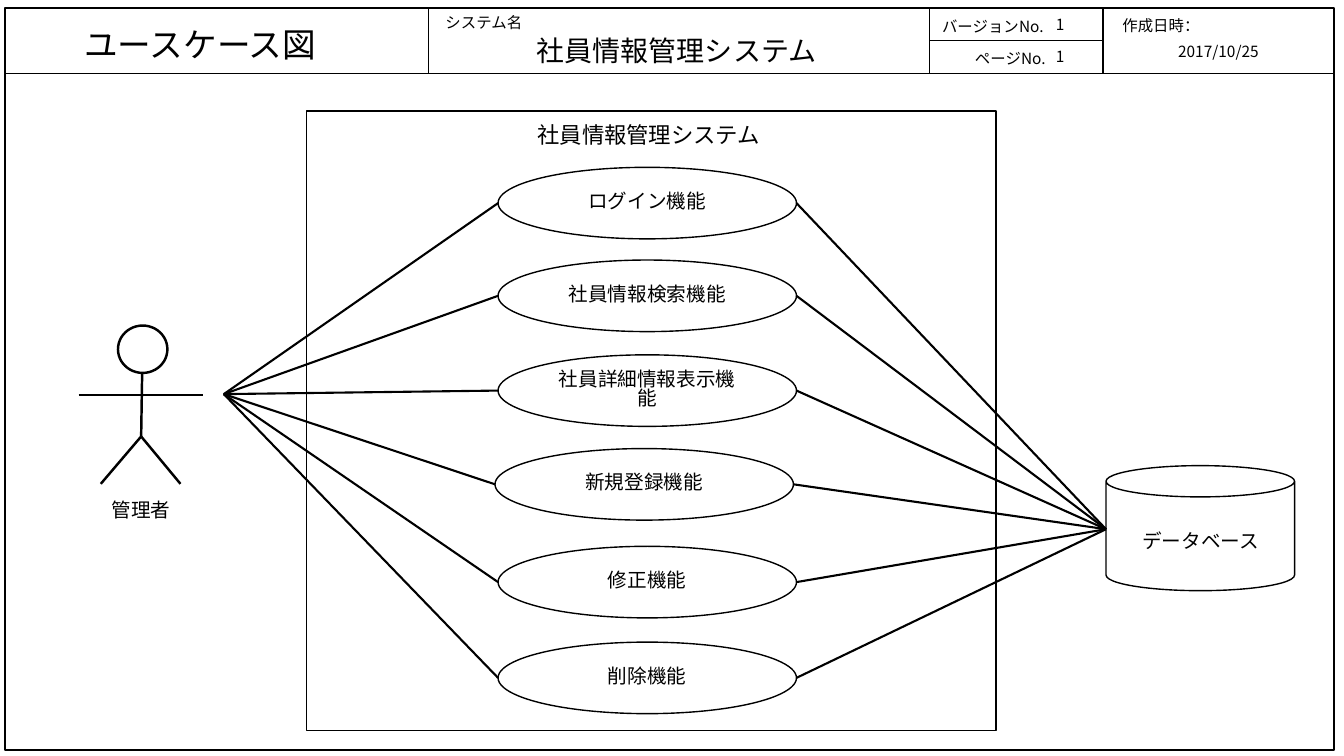
from pptx import Presentation
from pptx.dml.color import RGBColor
from pptx.enum.shapes import MSO_CONNECTOR, MSO_SHAPE
from pptx.enum.text import MSO_ANCHOR, PP_ALIGN
from pptx.oxml.ns import qn
from pptx.util import Inches, Pt
from lxml.etree import SubElement

FONT = "Noto Sans CJK JP"
INK = "000000"
SYSTEM = "社員情報管理システム"
CENTER, RIGHT = PP_ALIGN.CENTER, PP_ALIGN.RIGHT
TOP, MIDDLE = MSO_ANCHOR.TOP, MSO_ANCHOR.MIDDLE


def color(value):
    return RGBColor.from_string(value)


def write(shape, text, size, align=CENTER, anchor=MIDDLE):
    frame = shape.text_frame
    frame.word_wrap = True
    frame.vertical_anchor = anchor
    paragraph = frame.paragraphs[0]
    for name, value in {"alignment": align, "line_spacing": 0.8}.items():
        setattr(paragraph, name, value)
    run = paragraph.add_run()
    run.text = text
    for name, value in {"name": FONT, "size": Pt(size)}.items():
        setattr(run.font, name, value)
    run.font.color.rgb = color(INK)
    SubElement(run.font._element, qn("a:ea")).set("typeface", FONT)


def add_text(slide, box, text, size, align=CENTER, anchor=MIDDLE):
    write(slide.shapes.add_textbox(*map(Inches, box)), text, size, align, anchor)


def add_outline(slide, kind, box, width=1):
    shape = slide.shapes.add_shape(kind, *map(Inches, box))
    shape.shadow.inherit = False
    shape.fill.background()
    shape.line.color.rgb = color(INK)
    shape.line.width = Pt(width)
    return shape


def add_line(slide, start, end, width=1.5):
    line = slide.shapes.add_connector(MSO_CONNECTOR.STRAIGHT, *map(Inches, (*start, *end)))
    line.line.color.rgb = color(INK)
    line.line.width = Pt(width)
    SubElement(line._element.spPr, qn("a:effectLst"))


def add_header(slide, box):
    left, top, width, height = box
    half = height / 2
    # Cells: x, y, width, height inside the header
    cells = [
        (0, 0, 4.2, height),
        (4.2, 0, 4.97, height),
        (9.17, 0, 1.72, half),
        (9.17, half, 1.72, half),
        (10.89, 0, width - 10.89, height),
    ]
    for x, y, w, h in cells:
        add_outline(slide, MSO_SHAPE.RECTANGLE, (left + x, top + y, w, h))
    # Labels: x, y, width, height, text, size, alignment
    labels = [
        (0.49, 0.19, 2.89, 0.49, "ユースケース図", 24, CENTER),
        (4.13, 0.04, 1.24, 0.3, "システム名", 11, CENTER),
        (3.97, 0.27, 5.38, 0.41, SYSTEM, 20, CENTER),
        (8.89, 0.08, 1.51, 0.29, "バージョンNo.", 11, RIGHT),
        (9.17, 0.39, 1.25, 0.27, "ページNo.", 11, RIGHT),
        (10.29, 0.06, 0.35, 0.3, "1", 11, CENTER),
        (10.29, 0.37, 0.35, 0.3, "1", 11, CENTER),
        (10.8, 0.07, 1.33, 0.24, "作成日時：", 11, CENTER),
        (11.01, 0.32, 2.05, 0.23, "2017/10/25", 11, CENTER),
    ]
    for x, y, w, h, text, size, align in labels:
        add_text(slide, (left + x, top + y, w, h), text, size, align, TOP)


def add_actor(slide, box, name):
    left, top, width, height = box
    middle, hip = left + 0.62, top + 1.1
    add_outline(slide, MSO_SHAPE.OVAL, (left + 0.39, top, 0.49, 0.47), 1.75)
    limbs = [
        ((left, top + 0.69), (left + width, top + 0.69)),  # arms
        ((middle + 0.01, top + 0.47), (middle, hip)),  # body
        ((middle, hip), (middle - 0.4, top + height)),  # legs
        ((middle, hip), (middle + 0.39, top + height)),
    ]
    for start, end in limbs:
        add_line(slide, start, end, 1.75)
    add_text(slide, (middle - 0.76, top + height + 0.09, 1.52, 0.37), name, 14)


def add_database(slide, box, name):
    left, top, width, height = box
    add_outline(slide, MSO_SHAPE.CAN, box)
    add_text(slide, (left + 0.02, top + 0.58, width - 0.03, 0.37), name, 14)


def add_system(slide, box, use_cases, actor_point, database_point):
    left, top, width, height = box
    oval_width, oval_height = 2.96, 0.71
    add_outline(slide, MSO_SHAPE.RECTANGLE, box)
    add_text(slide, (left + 2.08, top + 0.08, 2.63, 0.37), SYSTEM, 16)
    # Each use case is joined to the actor and the database
    for text, x, y in use_cases:
        x, y = left + x, top + y
        oval = add_outline(slide, MSO_SHAPE.OVAL, (x, y, oval_width, oval_height))
        write(oval, text, 14)
        center = y + oval_height / 2
        add_line(slide, actor_point, (x, center))
        add_line(slide, (x + oval_width, center), database_point)


presentation = Presentation()
presentation.slide_width = Inches(13.33)
presentation.slide_height = Inches(7.5)
slide = presentation.slides.add_slide(presentation.slide_layouts[6])

# Page frame and header
add_outline(slide, MSO_SHAPE.RECTANGLE, (0.05, 0.73, 13.18, 6.71))
add_header(slide, (0.05, 0.08, 13.18, 0.65))

# Use case diagram; offsets are inside the system boundary
USE_CASES = [
    ("ログイン機能", 1.9, 0.56),
    ("社員情報検索機能", 1.9, 1.48),
    ("社員詳細情報表示機能", 1.9, 2.42),
    ("新規登録機能", 1.87, 3.35),
    ("修正機能", 1.9, 4.32),
    ("削除機能", 1.9, 5.27),
]
add_system(slide, (3.04, 1.1, 6.84, 6.15), USE_CASES, (2.22, 3.91), (10.97, 5.25))
add_actor(slide, (0.78, 3.23, 1.23, 1.57), "管理者")
add_database(slide, (10.97, 4.62, 1.87, 1.24), "データベース")

presentation.save("out.pptx")
